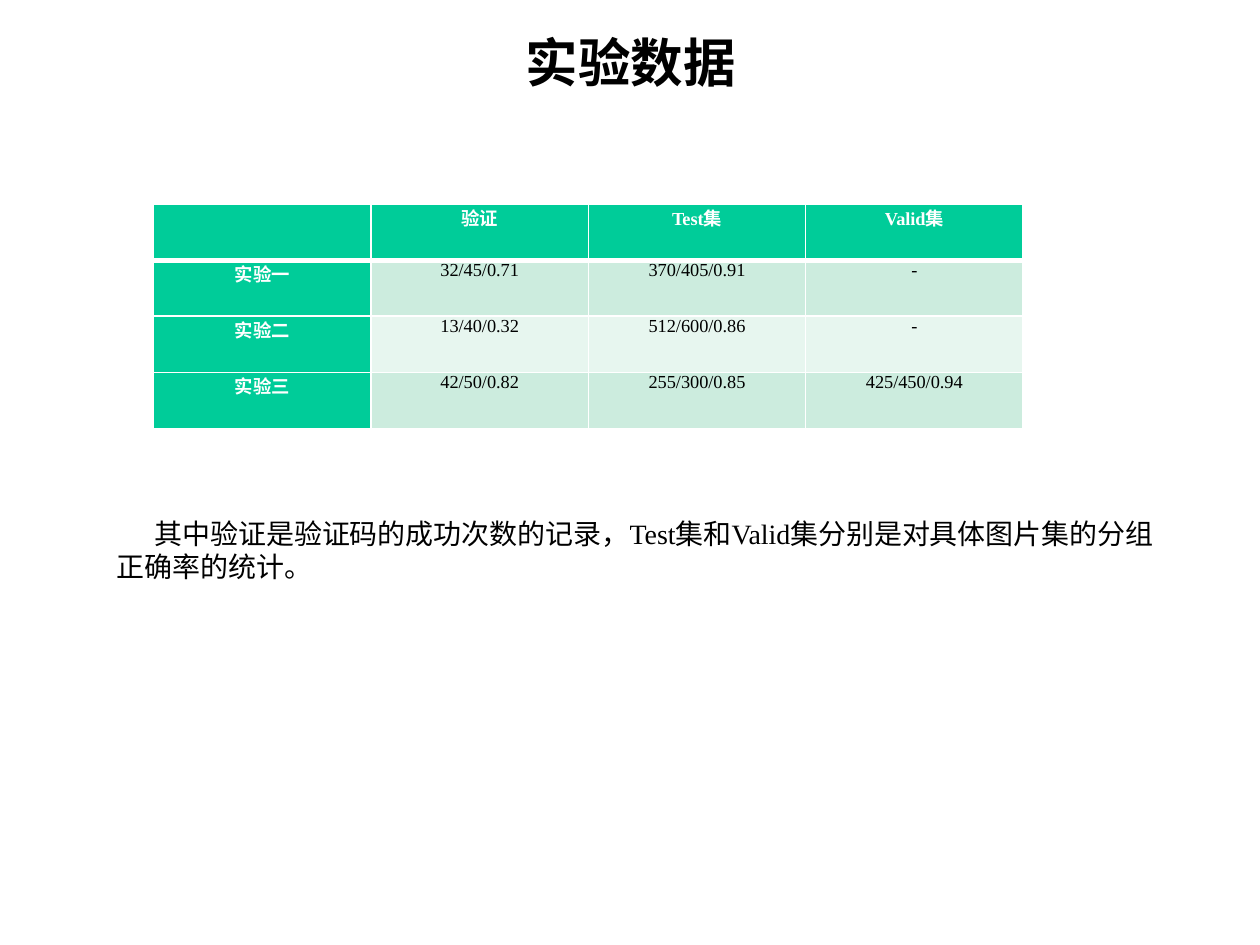
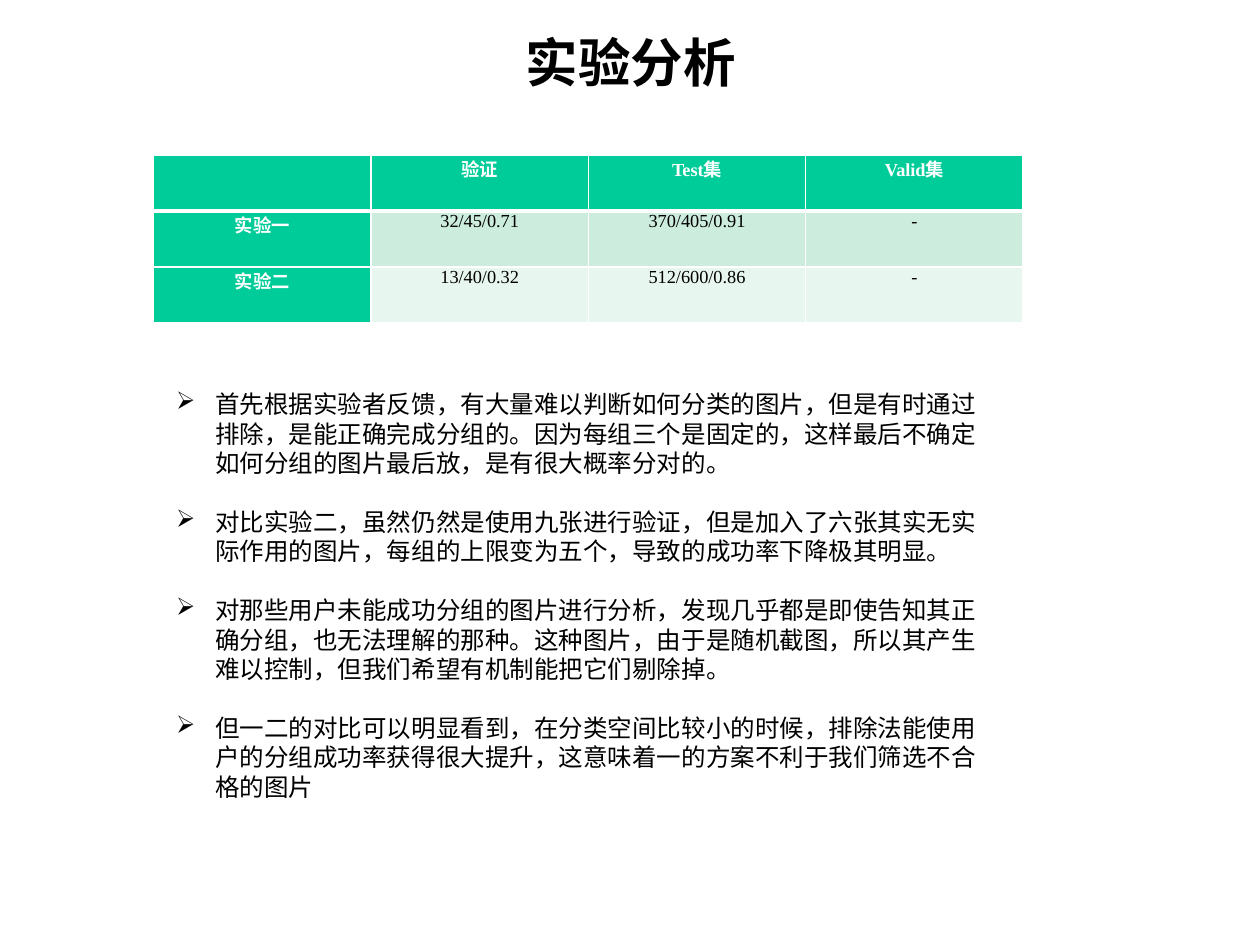
"""Build two slides with the results and the analysis of the grouping experiments."""
from lxml import etree
from pptx import Presentation
from pptx.dml.color import RGBColor
from pptx.enum.text import MSO_ANCHOR, PP_ALIGN
from pptx.oxml.ns import qn
from pptx.util import Inches, Pt

CENTER, LEFT = PP_ALIGN.CENTER, PP_ALIGN.LEFT
MIDDLE, TOP = MSO_ANCHOR.MIDDLE, MSO_ANCHOR.TOP

BLACK, WHITE = "000000", "FFFFFF"
GREEN, BAND_DARK, BAND_LIGHT = "00CC99", "CCECDE", "E7F6EF"
CHINESE_FONT, LATIN_FONT = "Noto Sans CJK SC", "Times New Roman"

TABLE_LEFT, TABLE_WIDTH = Inches(1.22), Inches(6.9)
ROW_HEIGHT = Inches(1.78) // 4

HEADER = ["", "验证", "Test集", "Valid集"]
RESULTS = [
    ["实验一", "32/45/0.71", "370/405/0.91", "-"],
    ["实验二", "13/40/0.32", "512/600/0.86", "-"],
    ["实验三", "42/50/0.82", "255/300/0.85", "425/450/0.94"],
]
EXPLANATION = "其中验证是验证码的成功次数的记录，Test集和Valid集分别是对具体图片集的分组正确率的统计。"
FINDINGS = [
    "首先根据实验者反馈，有大量难以判断如何分类的图片，但是有时通过排除，是能正确完成分组的。"
    "因为每组三个是固定的，这样最后不确定如何分组的图片最后放，是有很大概率分对的。",
    "对比实验二，虽然仍然是使用九张进行验证，但是加入了六张其实无实际作用的图片，"
    "每组的上限变为五个，导致的成功率下降极其明显。",
    "对那些用户未能成功分组的图片进行分析，发现几乎都是即使告知其正确分组，也无法理解的那种。"
    "这种图片，由于是随机截图，所以其产生难以控制，但我们希望有机制能把它们剔除掉。",
    "但一二的对比可以明显看到，在分类空间比较小的时候，排除法能使用户的分组成功率获得很大提升，"
    "这意味着一的方案不利于我们筛选不合格的图片",
]


def color(value):
    return RGBColor.from_string(value)


class Deck:
    """Holds the shared style and the slide being built."""

    def __init__(self):
        self.presentation = Presentation()
        self.presentation.slide_width = Inches(10)
        self.presentation.slide_height = Inches(7.5)
        self.slide = None

    def add_slide(self, title):
        layout = self.presentation.slide_layouts[6]
        self.slide = self.presentation.slides.add_slide(layout)
        frame = self.text_frame(0.6, 0.18, 8.81, 0.61, MIDDLE)
        paragraph = frame.paragraphs[0]
        paragraph.alignment = CENTER
        self.run(paragraph, title, 30, CHINESE_FONT, bold=True)

    def text_frame(self, left, top, width, height, anchor=TOP):
        shape = self.slide.shapes.add_textbox(
            Inches(left), Inches(top), Inches(width), Inches(height))
        frame = shape.text_frame
        frame.word_wrap = True
        frame.vertical_anchor = anchor
        return frame

    def run(self, paragraph, text, size, font, fill=BLACK, bold=False):
        run = paragraph.add_run()
        run.text = text
        run.font.size = Pt(size)
        run.font.bold = bold
        run.font.color.rgb = color(fill)
        run.font.name = font
        properties = run._r.get_or_add_rPr()
        etree.SubElement(properties, qn("a:ea"), typeface=CHINESE_FONT)

    def indent(self, paragraph, first_line, margin=0):
        properties = paragraph._p.get_or_add_pPr()
        properties.set("marL", str(Inches(margin)))
        properties.set("indent", str(Inches(first_line)))
        return properties

    def body(self, text, left, top, width, height):
        paragraph = self.text_frame(left, top, width, height).paragraphs[0]
        paragraph.alignment = LEFT
        paragraph.line_spacing = Pt(18.8)
        self.indent(paragraph, 0.3)
        self.run(paragraph, text, 16, LATIN_FONT)

    def bullets(self, items, left, top, width, height):
        frame = self.text_frame(left, top, width, height)
        line_height = Pt(16.8)
        for index, item in enumerate(items):
            paragraph = frame.add_paragraph() if index else frame.paragraphs[0]
            paragraph.alignment = LEFT
            paragraph.line_spacing = line_height
            paragraph.space_after = line_height
            properties = self.indent(paragraph, -0.31, 0.31)
            etree.SubElement(properties, qn("a:buChar"), char="➢")
            self.run(paragraph, item, 14, CHINESE_FONT)

    def borders(self, cell, row):
        widths = {"L": 1, "R": 1, "T": 3 if row == 1 else 1, "B": 3 if row == 0 else 1}
        properties = cell._tc.get_or_add_tcPr()
        for side, width in widths.items():
            line = etree.SubElement(properties, qn(f"a:ln{side}"), w=str(Pt(width)))
            fill = etree.SubElement(line, qn("a:solidFill"))
            etree.SubElement(fill, qn("a:srgbClr"), val=WHITE)

    def table(self, rows, top):
        table = self.slide.shapes.add_table(
            len(rows), len(rows[0]), TABLE_LEFT, Inches(top),
            TABLE_WIDTH, ROW_HEIGHT * len(rows)).table
        table.horz_banding = False
        for row, values in enumerate(rows):
            for column, value in enumerate(values):
                self.cell(table.cell(row, column), row, column, value)

    def cell(self, cell, row, column, value):
        heading = row == 0 or column == 0
        band = BAND_DARK if row % 2 else BAND_LIGHT
        self.borders(cell, row)
        cell.fill.solid()
        cell.fill.fore_color.rgb = color(GREEN if heading else band)
        cell.margin_left = cell.margin_right = Inches(0.07)
        cell.margin_top = cell.margin_bottom = 0
        if value:
            paragraph = cell.text_frame.paragraphs[0]
            paragraph.alignment = CENTER
            self.run(paragraph, value, 10.5, LATIN_FONT,
                     WHITE if heading else BLACK, heading)


def main():
    deck = Deck()
    deck.add_slide("实验数据")
    deck.table([HEADER, *RESULTS], 1.62)
    deck.body(EXPLANATION, 0.83, 4.06, 8.43, 1.03)

    deck.add_slide("实验分析")
    deck.table([HEADER, *RESULTS[:2]], 1.23)
    deck.bullets(FINDINGS, 1.3, 3.04, 6.7, 3.37)
    deck.presentation.save("out.pptx")


if __name__ == "__main__":
    main()
